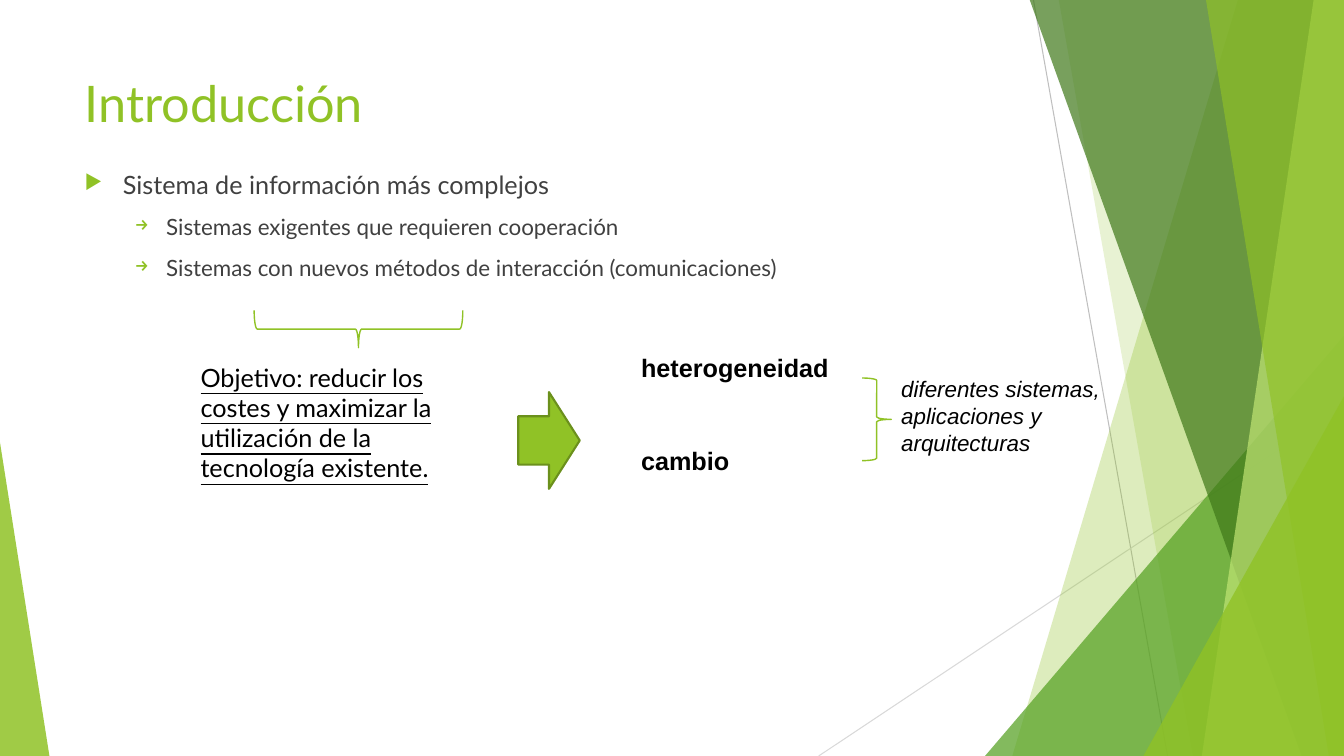
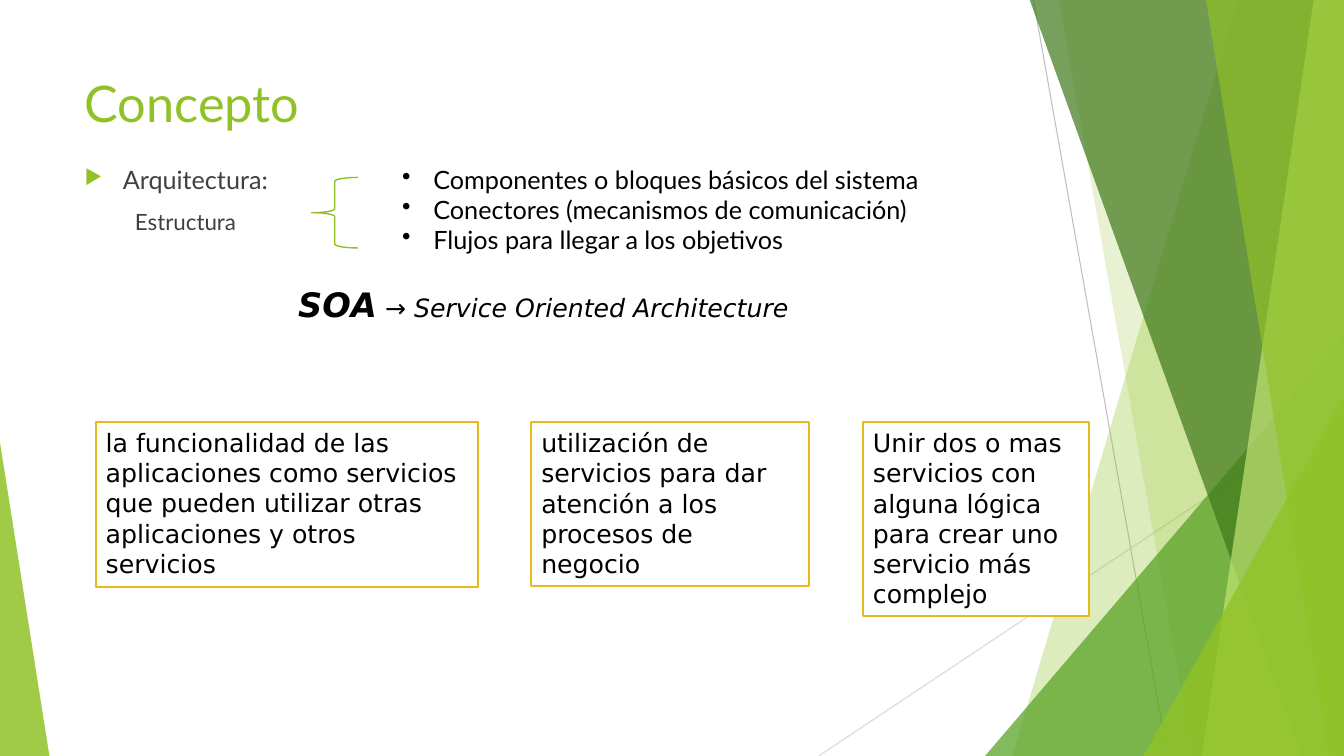
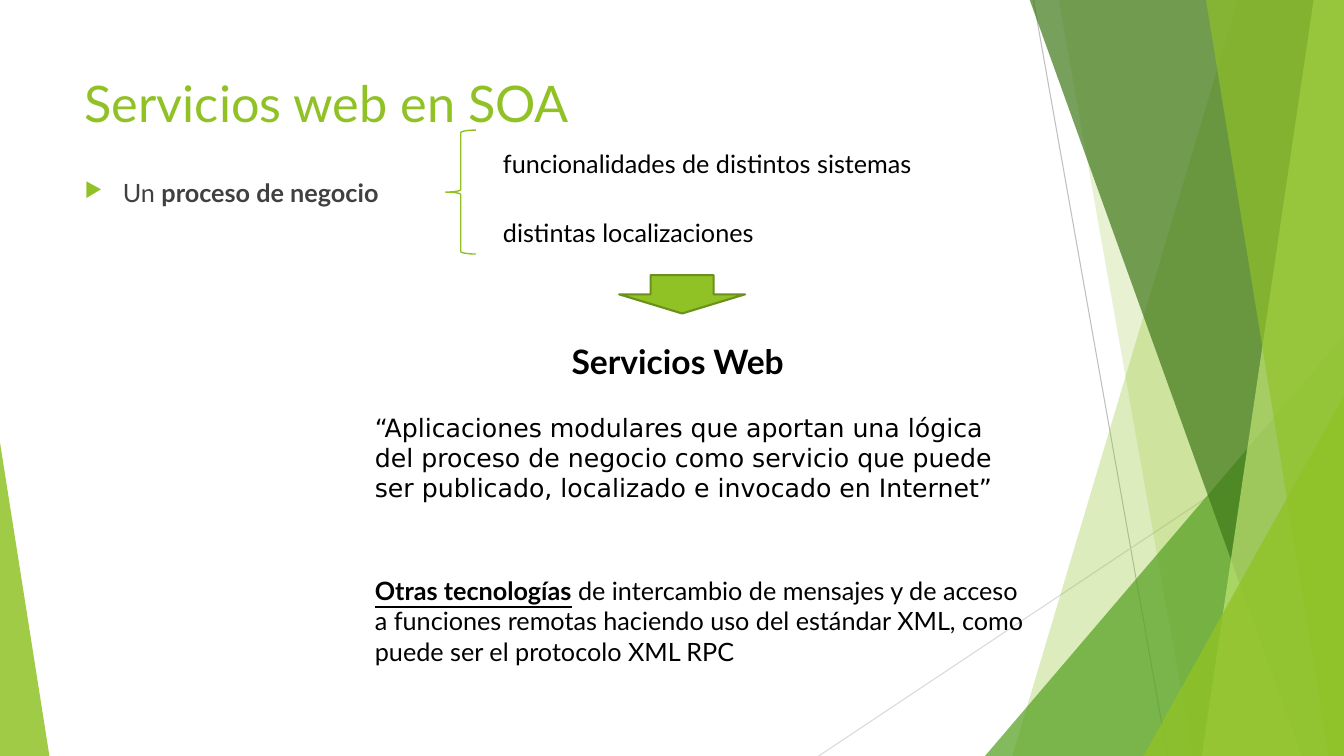
from pptx import Presentation
from pptx.dml.color import RGBColor
from pptx.enum.shapes import MSO_CONNECTOR, MSO_SHAPE
from pptx.enum.text import MSO_ANCHOR, MSO_AUTO_SIZE, PP_ALIGN
from pptx.oxml import parse_xml
from pptx.oxml.ns import nsdecls, qn
from pptx.util import Pt

PX = 9144  # 100 px to the inch
WIDE, HIGH = 1333, 750

LIME = RGBColor(0x90, 0xC2, 0x26)
OLIVE = RGBColor(0x6B, 0x90, 0x1C)
GREEN = RGBColor(0x54, 0xA0, 0x21)
FOREST = RGBColor(0x3F, 0x78, 0x19)
PALE = RGBColor(0xC0, 0xE4, 0x74)
GOLD = RGBColor(0xE6, 0xB9, 0x1E)
SILVER = RGBColor(0xBF, 0xBF, 0xBF)
MIST = RGBColor(0xD9, 0xD9, 0xD9)
GRAY = RGBColor(0x40, 0x40, 0x40)
BLACK = RGBColor(0, 0, 0)
WHITE = RGBColor(0xFF, 0xFF, 0xFF)

RECT, TRI = MSO_SHAPE.RECTANGLE, MSO_SHAPE.ISOSCELES_TRIANGLE
BRACE = MSO_SHAPE.RIGHT_BRACE
RIGHT, DOWN = MSO_SHAPE.RIGHT_ARROW, MSO_SHAPE.DOWN_ARROW
STRAIGHT = MSO_CONNECTOR.STRAIGHT
LEFT, TOP = PP_ALIGN.LEFT, MSO_ANCHOR.TOP
FIXED = MSO_AUTO_SIZE.NONE

LATO = {"name": "Lato", "size": Pt(18)}
HEAD = {"name": "Lato", "size": Pt(36)}
SUB = {"name": "Lato", "size": Pt(16)}
ARIAL = {"name": "Arial", "size": Pt(18), "bold": True}
NOTE = {"name": "Arial", "size": Pt(16), "italic": True}
DEJA = {"name": "DejaVu Sans", "size": Pt(18)}

# Paragraph styles: margin, indent, space before, bullet, bullet colour
PLAIN = (0, 0, 0, None, None)
INSET = (50, 0, 0, None, None)
POINT = (38, -38, 10, "▶", LIME)
ARROW = (81, -31, 10, "→", LIME)
UNDER = (50, 0, 10, None, None)
DOT = (31, -31, 0, "•", None)


def scale(*nums):
    return [n * PX for n in nums]


def paint(shape, fill=None, line=None, width=1, alpha=100):
    """Set fill, outline and opacity in percent."""
    shape.shadow.inherit = False
    if fill is None:
        shape.fill.background()
    else:
        shape.fill.solid()
        shape.fill.fore_color.rgb = fill
        if alpha < 100:
            tint = shape._element.spPr.find(qn("a:solidFill"))[0]
            tint.append(parse_xml(f'<a:alpha {nsdecls("a")} val="{alpha * 1000}"/>'))
    if line is None:
        shape.line.fill.background()
    else:
        shape.line.color.rgb = line
        shape.line.width = Pt(width)


def indent(para, style):
    margin, hang, space, mark, color = style
    para.alignment = LEFT
    para.space_before = Pt(space)
    props = para._p.get_or_add_pPr()
    props.set("marL", str(margin * PX))
    props.set("indent", str(hang * PX))
    parts = []
    if color is not None:
        parts.append(f'<a:buClr {nsdecls("a")}><a:srgbClr val="{color}"/></a:buClr>')
        parts.append(f'<a:buSzPct {nsdecls("a")} val="80000"/>')
    if mark:
        parts.append(f'<a:buChar {nsdecls("a")} char="{mark}"/>')
    else:
        parts.append(f'<a:buNone {nsdecls("a")}/>')
    for part in parts:
        props.append(parse_xml(part))


def write(shape, paras, color=BLACK, wrap=True):
    """Fill a shape with (style, [(text, font values), ...]) paragraphs."""
    frame = shape.text_frame
    form = {"word_wrap": wrap, "auto_size": FIXED, "vertical_anchor": TOP}
    for key, val in form.items():
        setattr(frame, key, val)
    for i, (style, runs) in enumerate(paras):
        para = frame.add_paragraph() if i else frame.paragraphs[0]
        indent(para, style)
        for text, font in runs:
            run = para.add_run()
            run.text = text
            run.font.color.rgb = color
            for key, val in font.items():
                setattr(run.font, key, val)


def label(slide, box, paras, color=BLACK, wrap=True):
    write(slide.shapes.add_textbox(*scale(*box)), paras, color, wrap)


def line(slide, box, text, font):
    """One unwrapped line of text."""
    label(slide, box, [(PLAIN, [(text, font)])], wrap=False)


def body(slide, top, paras):
    label(slide, (74, top, 940, 424), paras, GRAY)


def brace(slide, box, turn=0):
    shape = slide.shapes.add_shape(BRACE, *scale(*box))
    paint(shape, line=LIME)
    shape.rotation = turn


def arrow(slide, kind, box):
    paint(slide.shapes.add_shape(kind, *scale(*box)), LIME, OLIVE, 1.5)


def card(slide, box, text):
    shape = slide.shapes.add_shape(RECT, *scale(*box))
    paint(shape, WHITE, GOLD, 1.5)
    write(shape, [(PLAIN, [(text, DEJA)])])


def ray(shapes, ends, color):
    link = shapes.add_connector(STRAIGHT, *scale(*ends))
    link.line.color.rgb = color
    link.line.width = Pt(0.75)
    link._element.spPr.append(parse_xml(f'<a:effectLst {nsdecls("a")}/>'))


def strip(shapes, top, foot, color, alpha):
    """Band from a slanted left edge to the right side of the slide."""
    pen = shapes.build_freeform(top, -1, scale=PX)
    pen.add_line_segments([(WIDE, -1), (WIDE, HIGH), (foot, HIGH)])
    paint(pen.convert_to_shape(), color, alpha=alpha)


def wedge(shapes, box, tip, color, alpha):
    shape = shapes.add_shape(TRI, *scale(*box))
    shape.adjustments[0] = tip
    paint(shape, color, alpha=alpha)


def decor(slide):
    """Draw the facets and move them to the layout all slides share."""
    group = slide.shapes.add_group_shape()
    shapes = group.shapes
    ray(shapes, (1025, 0, 1158, HIGH), SILVER)
    ray(shapes, (WIDE, 403, 812, HIGH), MIST)
    strip(shapes, 1228, 1004, LIME, 30)
    strip(shapes, 1050, 1183, LIME, 20)
    wedge(shapes, (977, 333, 356, 417), 1, GREEN, 72)
    strip(shapes, 1021, 1291, FOREST, 70)
    strip(shapes, 1303, 1192, PALE, 70)
    strip(shapes, 1196, 1318, LIME, 65)
    wedge(shapes, (1134, 393, 199, 357), 1, LIME, 80)
    wedge(shapes, (0, 439, 49, 311), 0, LIME, 85)
    for num, item in enumerate(group._element.iter(qn("p:cNvPr")), 100):
        item.set("id", str(num))
    slide.slide_layout.shapes._spTree.insert(2, group._element)


def start(deck, text):
    slide = deck.slides.add_slide(deck.slide_layouts[5])
    title = slide.shapes.title
    spots = ("left", "top", "width", "height")
    for key, val in zip(spots, scale(74, 67, 940, 144)):
        setattr(title, key, val)
    write(title, [(PLAIN, [(text, HEAD)])], LIME)
    return slide


def intro(deck):
    slide = start(deck, "Introducción")
    decor(slide)
    body(slide, 163, [
        (POINT, [("Sistema de información más complejos", LATO)]),
        (ARROW, [("Sistemas exigentes que requieren cooperación", SUB)]),
        (ARROW, [("Sistemas con nuevos métodos de interacción (comunicaciones)", SUB)]),
    ])
    goal = "Objetivo: reducir los costes y maximizar la utilización de la tecnología existente."
    label(slide, (139, 354, 351, 131), [(INSET, [(goal, {**LATO, "underline": True})])])
    brace(slide, (337, 223, 37, 207), 90)
    arrow(slide, RIGHT, (514, 389, 61, 96))
    line(slide, (626, 345, 208, 40), "heterogeneidad", ARIAL)
    line(slide, (626, 437, 109, 40), "cambio", ARIAL)
    label(slide, (884, 367, 244, 91),
          [(PLAIN, [("diferentes sistemas, aplicaciones y arquitecturas", NOTE)])])
    brace(slide, (855, 375, 29, 82))


def concept(deck):
    slide = start(deck, "Concepto")
    body(slide, 158, [
        (POINT, [("Arquitectura:", LATO)]),
        (UNDER, [("Estructura", SUB)]),
    ])
    parts = (
        "Componentes o bloques básicos del sistema",
        "Conectores (mecanismos de comunicación)",
        "Flujos para llegar a los objetivos",
    )
    label(slide, (389, 158, 544, 101), [(DOT, [(part, LATO)]) for part in parts], wrap=False)
    brace(slide, (309, 176, 46, 70), 180)
    label(slide, (286, 277, 516, 50), [(PLAIN, [
        ("SOA", {**DEJA, "size": Pt(24), "bold": True, "italic": True}),
        (" → Service Oriented Architecture", {**DEJA, "italic": True}),
    ])], wrap=False)
    cards = (
        (95, 379, 163, "la funcionalidad de las aplicaciones como servicios "
                       "que pueden utilizar otras aplicaciones y otros servicios"),
        (527, 275, 162, "utilización de servicios para dar atención a los procesos de negocio"),
        (856, 224, 192, "Unir dos o mas servicios con alguna lógica "
                        "para crear uno servicio más complejo"),
    )
    for left, width, height, text in cards:
        card(slide, (left, 419, width, height), text)


def web(deck):
    slide = start(deck, "Servicios web en SOA")
    bold = {**LATO, "bold": True}
    body(slide, 171, [(POINT, [("Un ", LATO), ("proceso de negocio", bold)])])
    line(slide, (489, 142, 447, 40), "funcionalidades de distintos sistemas", LATO)
    line(slide, (489, 211, 281, 40), "distintas localizaciones", LATO)
    brace(slide, (442, 129, 30, 123), 180)
    arrow(slide, DOWN, (614, 273, 125, 38))
    line(slide, (557, 333, 239, 50), "Servicios Web", {**bold, "size": Pt(24)})
    quote = ("“Aplicaciones modulares que aportan una lógica del proceso de negocio "
             "como servicio que puede ser publicado, localizado e invocado en Internet”")
    label(slide, (362, 404, 667, 101), [(PLAIN, [(quote, DEJA)])])
    label(slide, (362, 566, 667, 101), [(PLAIN, [
        ("Otras tecnologías", {**bold, "underline": True}),
        (" de intercambio de mensajes y de acceso a funciones remotas haciendo uso "
         "del estándar XML, como puede ser el protocolo XML RPC", LATO),
    ])])


def main():
    deck = Presentation()
    deck.slide_width, deck.slide_height = scale(WIDE, HIGH)
    for build in (intro, concept, web):
        build(deck)
    deck.save("out.pptx")


if __name__ == "__main__":
    main()
